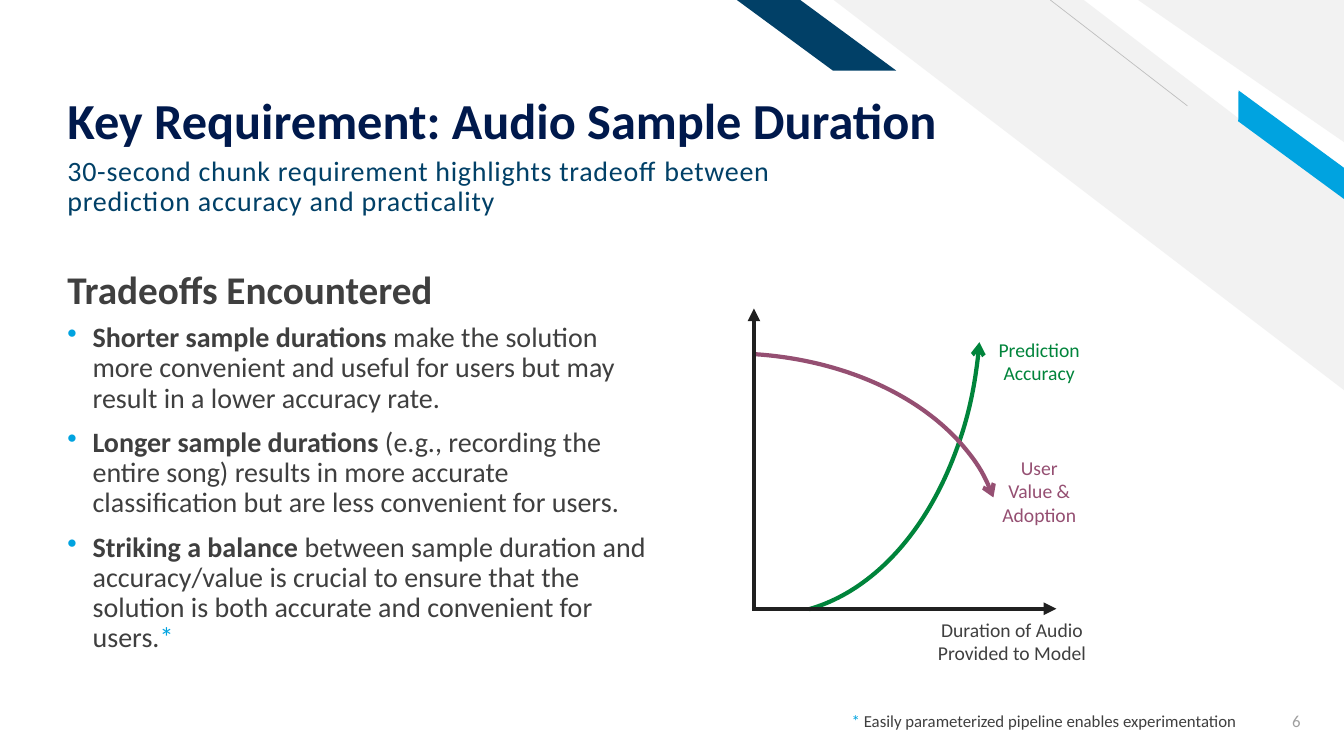
"""Build the slide on audio sample duration tradeoffs."""
from dataclasses import dataclass
from typing import NamedTuple, Optional

from lxml.etree import SubElement
from pptx import Presentation
from pptx.dml.color import RGBColor
from pptx.enum.shapes import MSO_CONNECTOR, MSO_SHAPE
from pptx.enum.text import MSO_ANCHOR, PP_ALIGN
from pptx.oxml.ns import qn
from pptx.util import Inches, Pt

WIDTH, HEIGHT = Inches(13.333), Inches(7.5)
COL, ROW = WIDTH / 100, HEIGHT / 100
FONT = "Calibri"
NAVY, TEAL, SKY, PALE = "00194C", "014067", "00A3E0", "F2F2F2"
INK, GREEN, PLUM, AXIS, GRAY = "3F3F3F", "00843B", "954F72", "202020", "9F9F9F"
LEFT = 4.28
ORIGIN_COL = 56.1


class Box(NamedTuple):
    col: float
    row: float
    cols: float
    rows: float


class Span(NamedTuple):
    text: str
    bold: bool = False
    color: Optional[str] = None


@dataclass
class Figure:
    kind: MSO_SHAPE
    box: Box
    color: str
    adjust: tuple[float, ...] = ()
    rotation: float = 0
    flip: bool = False


@dataclass
class Line:
    start: tuple[float, float]
    end: tuple[float, float]
    color: str
    weight: float
    arrow: bool = False


@dataclass
class Text:
    box: Box
    paragraphs: list[list[Span]]
    size: float
    color: str
    align: PP_ALIGN = PP_ALIGN.LEFT
    anchor: MSO_ANCHOR = MSO_ANCHOR.TOP
    leading: Optional[float] = None
    before: float = 0
    bullet: bool = False
    tracking: int = 0
    bottom: float = 0.05


BACKDROP = [
    Figure(MSO_SHAPE.DIAGONAL_STRIPE, Box(62.03, 0, 37.97, 51.6), PALE, (0.51,), flip=True),
    Line((88.35, 14), (78.15, 0), "BFBFBF", 0.5),
    Figure(MSO_SHAPE.PARALLELOGRAM, Box(90.53, 17.47, 11.1, 3.33), SKY, (0.72,), 36.3, True),
    Figure(MSO_SHAPE.PARALLELOGRAM, Box(54.83, 0, 11.85, 9.33), TEAL, (1.36,), flip=True),
    Figure(MSO_SHAPE.RIGHT_TRIANGLE, Box(84.68, 0, 15.32, 18.8), PALE, rotation=180),
]

COPY = [
    Text(Box(LEFT, 3.07, 76.05, 16.8),
         [[Span("Key Requirement: Audio Sample Duration", True)]],
         36, NAVY, anchor=MSO_ANCHOR.BOTTOM, leading=0.9, bottom=0),
    Text(Box(LEFT, 20.13, 60.45, 8.93),
         [[Span("30-second chunk requirement highlights tradeoff between "
                "prediction accuracy and practicality")]],
         20, TEAL, leading=0.9, before=10, tracking=50),
    Text(Box(LEFT, 30.67, 44.93, 11.33), [[Span("Tradeoffs Encountered", True)]],
         28, INK, anchor=MSO_ANCHOR.BOTTOM),
    Text(Box(LEFT, 42.13, 44.93, 47.2), [
        [Span("Shorter sample durations", True),
         Span(" make the solution more convenient and useful for users "
              "but may result in a lower accuracy rate.")],
        [Span("Longer sample durations", True),
         Span(" (e.g., recording the entire song) results in more accurate "
              "classification but are less convenient for users.")],
        [Span("Striking a balance", True),
         Span(" between sample duration and accuracy/value is crucial to ensure "
              "that the solution is both accurate and convenient for users."),
         Span("*", color=SKY)],
    ], 20, INK, leading=0.9, before=10, bullet=True),
    Text(Box(91.43, 92.67, 6.08, 5.33), [[Span("6")]], 12, GRAY,
         PP_ALIGN.RIGHT, MSO_ANCHOR.MIDDLE),
    Text(Box(62.63, 93.33, 30.3, 4),
         [[Span("*", color=SKY),
           Span(" Easily parameterized pipeline enables experimentation")]], 12, INK),
]

DIAGRAM = [
    Text(Box(66.9, 81.07, 16.8, 7.6),
         [[Span("Duration of Audio Provided to Model")]], 14, INK, PP_ALIGN.CENTER),
    Text(Box(73.05, 44, 8.55, 7.6),
         [[Span("Prediction")], [Span("Accuracy")]], 14, GREEN, PP_ALIGN.CENTER),
    Figure(MSO_SHAPE.ARC, Box(34.13, 12.27, 46.05, 56.27), GREEN, (167.92, 211.42), 90),
    Figure(MSO_SHAPE.ARC, Box(40.13, 35.87, 28.28, 72), PLUM, (167.92, 211.57), 90, True),
    Text(Box(71.48, 59.6, 11.7, 10.8),
         [[Span("User")], [Span("Value & Adoption")]], 14, PLUM, PP_ALIGN.CENTER),
    Line((ORIGIN_COL, 80.53), (78.6, 80.53), AXIS, 3, True),
    Line((ORIGIN_COL, 80.8), (ORIGIN_COL, 40.8), AXIS, 3, True),
]


def rgb(color: str) -> RGBColor:
    """Turn a hex string into a colour."""
    return RGBColor.from_string(color)


def place(box: Box) -> tuple[int, int, int, int]:
    """Turn grid units into slide lengths."""
    return (round(box.col * COL), round(box.row * ROW),
            round(box.cols * COL), round(box.rows * ROW))


def stroke(sp, color: str, weight: float, end: str = "", head: str = "") -> None:
    """Style an outline, with an arrowhead at the named end."""
    sp.line.color.rgb = rgb(color)
    sp.line.width = Pt(weight)
    if end:
        SubElement(sp.line._get_or_add_ln(), qn(f"a:{end}"), type=head)


def draw_figure(shapes, figure: Figure) -> None:
    """Draw a filled preset shape or an arrowed arc."""
    sp = shapes.add_shape(figure.kind, *place(figure.box))
    sp.shadow.inherit = False
    sp.rotation = figure.rotation
    for i, value in enumerate(figure.adjust):
        sp.adjustments[i] = value
    if figure.flip:
        sp._element.spPr.xfrm.set("flipH", "1")
    if figure.kind == MSO_SHAPE.ARC:
        sp.fill.background()
        stroke(sp, figure.color, 3, "headEnd", "arrow")
    else:
        sp.fill.solid()
        sp.fill.fore_color.rgb = rgb(figure.color)
        sp.line.fill.background()


def draw_line(shapes, line: Line) -> None:
    """Draw a straight connector."""
    x1, y1, x2, y2 = place(Box(*line.start, *line.end))
    sp = shapes.add_connector(MSO_CONNECTOR.STRAIGHT, x1, y1, x2, y2)
    stroke(sp, line.color, line.weight, "tailEnd" if line.arrow else "", "triangle")
    SubElement(sp._element.spPr, qn("a:effectLst"))


def add_bullet(p) -> None:
    """Give a paragraph a hanging coloured bullet."""
    pPr = p._p.get_or_add_pPr()
    pPr.set("marL", str(Inches(0.25)))
    pPr.set("indent", str(-Inches(0.25)))
    SubElement(SubElement(pPr, qn("a:buClr")), qn("a:srgbClr"), val=SKY)
    SubElement(pPr, qn("a:buChar"), char="•")


def draw_text(shapes, text: Text) -> None:
    """Draw a text box with its formatted paragraphs."""
    tf = shapes.add_textbox(*place(text.box)).text_frame
    tf.word_wrap = True
    tf.vertical_anchor = text.anchor
    tf.margin_bottom = Inches(text.bottom)
    tf.text = "\n".join(spans[0].text for spans in text.paragraphs)
    for p, spans in zip(tf.paragraphs, text.paragraphs):
        p.alignment = text.align
        p.line_spacing = text.leading
        p.space_before = Pt(text.before)
        if text.bullet:
            add_bullet(p)
        for span in spans[1:]:
            p.add_run().text = span.text
        for r, span in zip(p.runs, spans):
            r.font.name, r.font.size, r.font.bold = FONT, Pt(text.size), span.bold
            r.font.color.rgb = rgb(span.color or text.color)
            if text.tracking:
                r._r.get_or_add_rPr().set("spc", str(text.tracking))


def main() -> None:
    """Draw every element and save the slide."""
    prs = Presentation()
    prs.slide_width, prs.slide_height = WIDTH, HEIGHT
    shapes = prs.slides.add_slide(prs.slide_layouts[6]).shapes
    draw = {Figure: draw_figure, Line: draw_line, Text: draw_text}
    for item in BACKDROP + COPY + DIAGRAM:
        draw[type(item)](shapes, item)
    prs.save("out.pptx")


if __name__ == "__main__":
    main()
